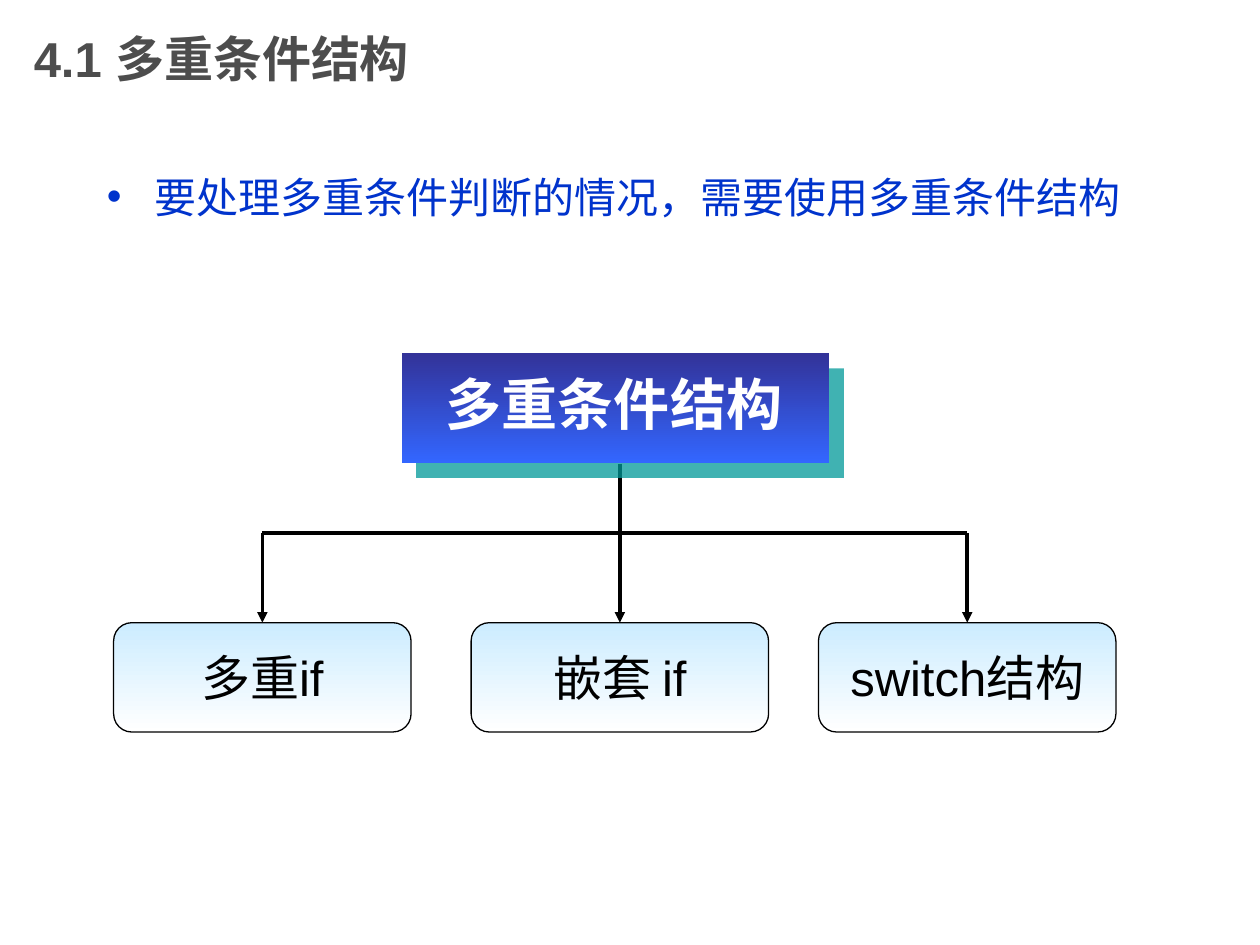
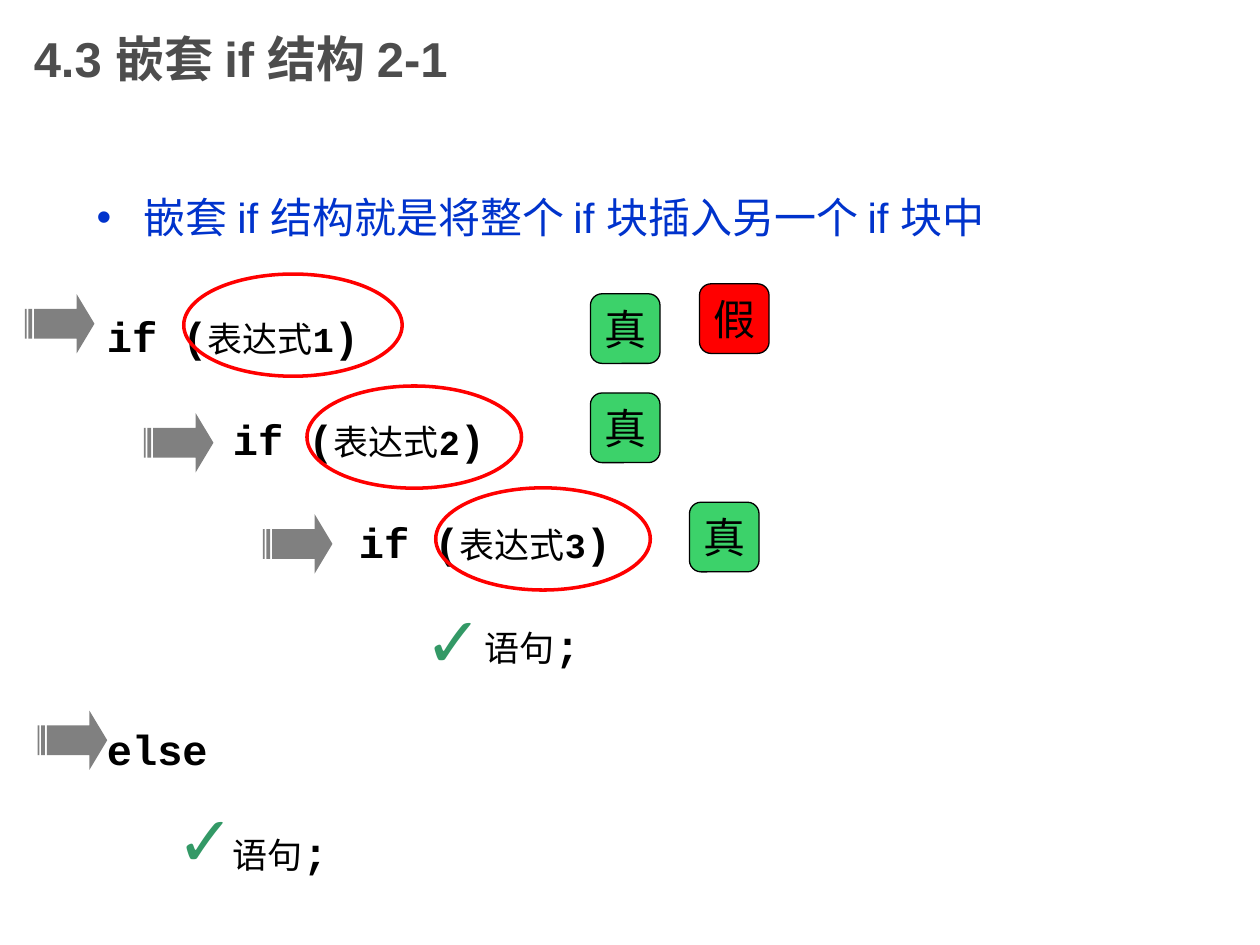
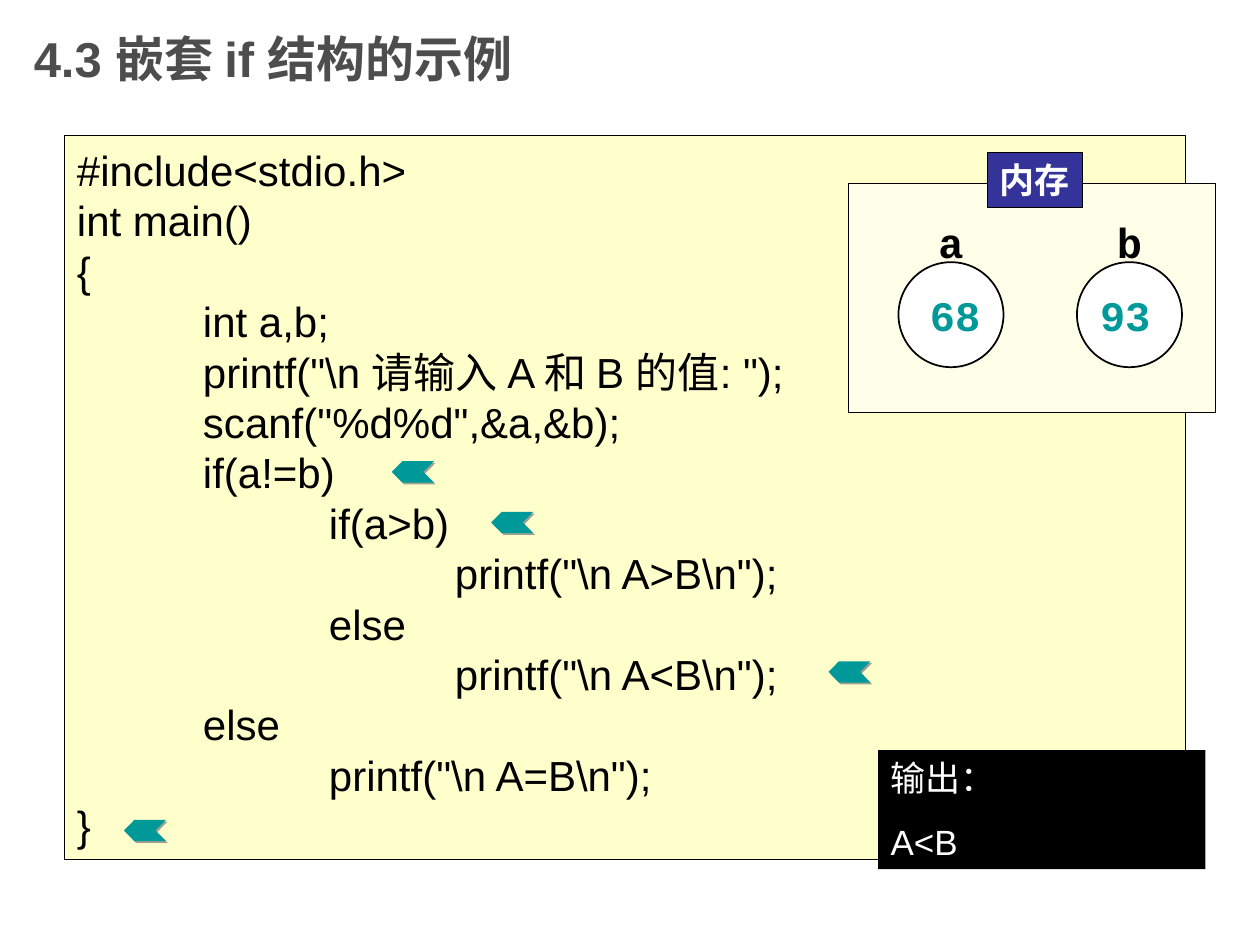
from lxml import etree
from pptx import Presentation
from pptx.dml.color import RGBColor
from pptx.enum import shapes, text
from pptx.oxml import ns
from pptx.util import Pt

SANS, MONO = "Arial", "Courier New"
BLACK, WHITE, GREY, BLUE = "000000", "FFFFFF", "4D4D4D", "0033CC"
NAVY, TEAL, GREEN, RED = "333399", "009999", "3CD26A", "FF0000"
SHAPE = shapes.MSO_SHAPE


def rgb(value):
    return RGBColor.from_string(value)


def add(parent, tag, **attrs):
    return etree.SubElement(parent, ns.qn(tag), attrs)


def add_shadow(effects, color, dist, alpha=75):
    sh = add(effects, "a:outerShdw", blurRad="0", dist=str(Pt(dist)), dir="2700000",
             algn="tl", rotWithShape="0")
    add(add(sh, "a:srgbClr", val=color), "a:alpha", val=str(alpha * 1000))


def write(sp, lines, size=24, color=BLACK, font=SANS, bold=False, align="l", anchor="t",
          before=0, spacing=None, bullet=False, tabs=0, shadow=None):
    """Fill a shape with lines; a line is a string or a list of (text, overrides)."""
    tf = sp.text_frame
    tf.word_wrap = align == "l"
    tf.vertical_anchor = {"t": text.MSO_ANCHOR.TOP, "m": text.MSO_ANCHOR.MIDDLE}[anchor]
    for i, line in enumerate(lines):
        p = tf.add_paragraph() if i else tf.paragraphs[0]
        p.alignment = {"l": text.PP_ALIGN.LEFT, "c": text.PP_ALIGN.CENTER}[align]
        p.space_before = Pt(before if i else 0)
        if spacing:
            p.line_spacing = Pt(spacing)
        pPr = p._p.get_or_add_pPr()
        if bullet:
            pPr.set("marL", str(Pt(27)))
            pPr.set("indent", str(-Pt(27)))
            add(pPr, "a:buFont", typeface=SANS)
            add(pPr, "a:buChar", char="•")
        if tabs:
            stops = add(pPr, "a:tabLst")
            for n in range(1, tabs + 1):
                add(stops, "a:tab", pos=str(Pt(72 * n)), algn="l")
        for words, own in [(line, {})] if isinstance(line, str) else line:
            r = p.add_run()
            r.text = words
            r.font.size = Pt(own.get("size", size))
            r.font.bold = own.get("bold", bold)
            r.font.color.rgb = rgb(color)
            if shadow:
                effects = etree.Element(ns.qn("a:effectLst"))
                add_shadow(effects, shadow, 3, 100)
                r._r.rPr.find(ns.qn("a:solidFill")).addnext(effects)
            r.font.name = own.get("font", font)


class Deck:
    """Holds the presentation, its style and the current slide."""

    def __init__(self):
        self.prs = Presentation()
        self.prs.slide_width, self.prs.slide_height = Pt(720), Pt(540)

    def slide(self, title):
        self.s = self.prs.slides.add_slide(self.prs.slide_layouts[6])
        self.text(12.24, 0, 540, 66.24, [title], size=28, color=GREY, bold=True, anchor="m")

    def text(self, x, y, w, h, lines, **fmt):
        sp = self.s.shapes.add_textbox(Pt(x), Pt(y), Pt(w), Pt(h))
        write(sp, lines, **fmt)

    def bullet(self, x, y, words):
        self.text(x, y, 720 - x, 90, [words], color=BLUE, bullet=True)

    def paint(self, sp, fill, line, width, shadow):
        sp.shadow.inherit = False
        if shadow:
            add_shadow(sp._element.spPr.find(ns.qn("a:effectLst")), *shadow)
        if isinstance(fill, tuple):
            sp.fill.gradient()
            sp.fill.gradient_angle = 270
            for stop, color, pos in zip(sp.fill.gradient_stops, fill, (0, 1)):
                stop.color.rgb, stop.position = rgb(color), pos
        elif fill:
            sp.fill.solid()
            sp.fill.fore_color.rgb = rgb(fill)
        else:
            sp.fill.background()
        if line:
            sp.line.color.rgb, sp.line.width = rgb(line), Pt(width)
        else:
            sp.line.fill.background()

    def shape(self, kind, x, y, w, h, fill=None, line=None, width=0.75, shadow=None,
              adj=(), lines=(), **fmt):
        sp = self.s.shapes.add_shape(kind, Pt(x), Pt(y), Pt(w), Pt(h))
        for i, value in enumerate(adj):
            sp.adjustments[i] = value
        self.paint(sp, fill, line, width, shadow)
        if lines:
            write(sp, lines, **fmt)

    def line(self, x1, y1, x2, y2, arrow=False):
        c = self.s.shapes.add_connector(shapes.MSO_CONNECTOR.STRAIGHT, Pt(x1), Pt(y1), Pt(x2), Pt(y2))
        c.line.color.rgb, c.line.width = rgb(BLACK), Pt(2)
        if arrow:
            add(c.line._get_or_add_ln(), "a:tailEnd", type="triangle")
        add(c._element.spPr, "a:effectLst")

    def label(self, x, y, w, h, words, fill, size=24):
        self.shape(SHAPE.ROUNDED_RECTANGLE, x, y, w, h, fill, BLACK, adj=[0.167],
                   lines=[words], size=size, align="c", anchor="m")

    def step_arrow(self, x, y):
        self.shape(SHAPE.STRIPED_RIGHT_ARROW, x, y, 39.8, 34, "808080", adj=[0.5, 0.3])

    def pointer(self, x, y):
        w, h, tip = 24, 12.2, 6
        fb = self.s.shapes.build_freeform(Pt(x + w), Pt(y))
        outline = [(tip, 0), (0, h / 2), (tip, h), (w, h), (w - tip, h / 2)]
        fb.add_line_segments([(Pt(x + dx), Pt(y + dy)) for dx, dy in outline], close=True)
        self.paint(fb.convert_to_shape(), TEAL, None, 0, ("808080", 1.4))


def structure_slide(d):
    d.slide("4.1 多重条件结构")
    d.bullet(54, 94.3, "要处理多重条件判断的情况，需要使用多重条件结构")
    top, bar, w = 355.8, 304.6, 170
    branches = [(64.9, "多重if"), (269.2, "嵌套 if"), (467.7, "switch结构")]
    for x, words in branches:
        d.label(x, top, w, 62.5, words, ("CCECFF", WHITE), size=28)
    centers = [x + w / 2 for x, _ in branches]
    d.line(centers[0], bar, centers[-1], bar)
    d.line(centers[1], 265, centers[1], bar)
    for x in centers:
        d.line(x, bar, x, top, arrow=True)
    d.shape(SHAPE.RECTANGLE, 229.7, 202, 244, 62.6, (NAVY, "3366FF"), shadow=(TEAL, 12.1))
    d.text(246.2, 207.4, 209.5, 46, ["多重条件结构"], size=32, color=WHITE, bold=True,
           align="c", shadow="1F1F4D")


def nested_slide(d):
    d.slide("4.3 嵌套 if 结构 2-1")
    d.bullet(48.2, 105.8, "嵌套 if 结构就是将整个 if 块插入另一个 if 块中")
    small, plain = {"size": 20}, {"size": 20, "bold": False}
    tests = [["\t" * n + "if (", "表达式", str(n + 1), ")"] for n in range(3)]
    code = [list(zip(parts, ({}, plain, small, {}))) for parts in tests]
    then, other = [[("\t" * n, {}), ("语句", plain), (";", {})] for n in (3, 1)]
    d.text(54, 173.5, 629, 330, code + [then, "else", other], font=MONO, bold=True,
           before=30, spacing=29, tabs=3)
    for x, y, words, fill in [(337.4, 167.9, "真", GREEN), (337.4, 224.6, "真", GREEN),
                              (394, 287, "真", GREEN), (399.7, 162.2, "假", RED)]:
        d.label(x, y, 39.8, 39.8, words, fill)
    for x, y, w in [(105, 156.6, 124.8), (175.4, 220.6, 122.6), (249, 278.8, 122.6)]:
        d.shape(SHAPE.OVAL, x, y, w, 58.4, line=RED, width=2)
    for x, y in [(14.2, 168), (82.2, 236), (150.2, 293.8), (21.5, 406)]:
        d.step_arrow(x, y)
    for x, y in [(235.4, 337.7), (93.6, 451.4)]:
        d.text(x, y, 45.4, 55.4, ["✓"], size=40, color="339966", bold=True)


def example_slide(d):
    d.slide("4.3 嵌套 if 结构的示例")
    mono = {"font": MONO}
    code = [
        "#include<stdio.h>",
        "int main()",
        "{",
        "\tint a,b;",
        [("\tprintf(\"\\n 请输入 A ", {}), ("和 ", mono), ("B ", {}), ("的值", mono), (": \");", {})],
        "\tscanf(\"%d%d\",&a,&b);",
        "\tif(a!=b)",
        "\t\tif(a>b)",
        "\t\t\tprintf(\"\\n A>B\\n\");",
        "\t\telse",
        "\t\t\tprintf(\"\\n A<B\\n\");",
        "\telse",
        "\t\tprintf(\"\\n A=B\\n\");",
        "}",
    ]
    d.shape(SHAPE.RECTANGLE, 36.9, 77.3, 640.6, 413.8, "FFFFCC", BLACK, lines=code,
            anchor="m", tabs=3)
    d.shape(SHAPE.RECTANGLE, 484.8, 104.9, 209.8, 131, "FFFFE9", BLACK)
    d.shape(SHAPE.RECTANGLE, 564.2, 87.1, 54.4, 31.5, NAVY, BLACK, lines=["内存"],
            size=20, color=WHITE, font=MONO, bold=True, align="c")
    for x, name, value, value_x in [(513.4, "a", "68", 524.2), (615.4, "b", "93", 621.4)]:
        d.shape(SHAPE.OVAL, x, 149.8, 60, 60, WHITE, BLACK, width=1)
        d.text(x + 15.6, 120.2, 28.8, 36, [name], font=MONO, bold=True, align="c")
        d.text(value_x, 162, 43.2, 36, [value], color=TEAL, font=MONO, bold=True, align="c")
    d.shape(SHAPE.RECTANGLE, 501.8, 428.6, 187, 68, BLACK, lines=["输出：", "A<B"],
            size=20, color=WHITE, before=12.5)
    for x, y in [(280.7, 292.5), (473.4, 377.9), (223.9, 263.6), (70.8, 468.5)]:
        d.pointer(x, y)


def main():
    d = Deck()
    structure_slide(d)
    nested_slide(d)
    example_slide(d)
    d.prs.save("out.pptx")


if __name__ == "__main__":
    main()
